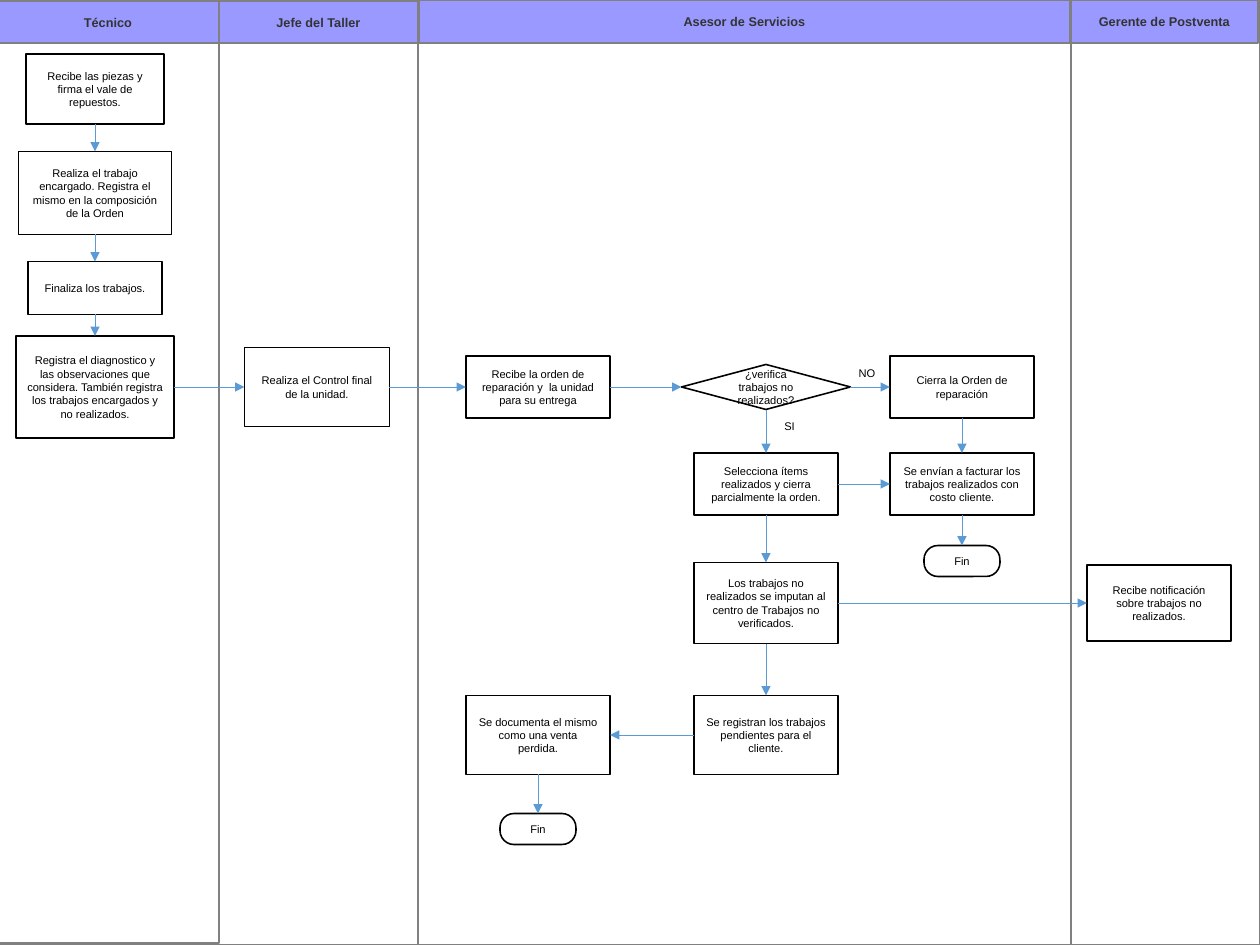
from pptx import Presentation
from pptx import util as u
from pptx.dml.color import RGBColor
from pptx.enum import shapes, text
from pptx.oxml.ns import qn
from lxml import etree

PX = 8000  # EMU
WIDE, HIGH = 1260, 945
TOP, LEFT, BOTTOM, RIGHT = range(4)

# left, top, width, height
FRAMES = [(-3, 0, 222, 943), (-3, 0, 1263, HIGH), (418, 0, 653, HIGH)]

# title, left, top, right
LANES = [
    ("Técnico", -3, 1, 219),
    ("Jefe del Taller", 219, 1, 418),
    ("Asesor de Servicios", 419, 0, 1070),
    ("Gerente de Postventa", 1071, 0, 1258),
]
LANE_END = 43

# columns and rows on which the steps are centred
TECH, CHIEF, DESK, CHECK, CLOSE, BOSS = 95, 317, 538, 766, 962, 1159
MAIN, BILL, NOTE, SALE = 387, 484, 603, 735

# name: (kind, words, centre x, centre y, width, height)
STEPS = {
    "parts": ("box", "Recibe las piezas y firma el vale de repuestos.", TECH, 89, 138, 70),
    "work": ("box", "Realiza el trabajo encargado. Registra el mismo en la composición de la Orden",
             TECH, 193, 153, 83),
    "done": ("box", "Finaliza los trabajos.", TECH, 288, 134, 53),
    "log": ("box", "Registra el diagnostico y las observaciones que considera. También registra "
            "los trabajos encargados y no realizados.", TECH, MAIN, 158, 102),
    "test": ("box", "Realiza el Control final de la unidad.", CHIEF, MAIN, 145, 79),
    "order": ("box", "Recibe la orden de reparación y  la unidad para su entrega", DESK, MAIN, 144, 62),
    "check": ("choice", "¿verifica trabajos no realizados?", CHECK, MAIN, 169, 45),
    "close": ("box", "Cierra la Orden de reparación", CLOSE, MAIN, 144, 62),
    "pick": ("box", "Selecciona ítems realizados y cierra parcialmente la orden.", CHECK, BILL, 144, 62),
    "bill": ("box", "Se envían a facturar los trabajos realizados con costo cliente.",
             CLOSE, BILL, 144, 62),
    "paid": ("end", "Fin", CLOSE, 561, 76, 31),
    "charge": ("box", "Los trabajos no realizados se imputan al centro de Trabajos no verificados.",
               CHECK, NOTE, 144, 81),
    "notice": ("box", "Recibe notificación sobre trabajos no realizados.", BOSS, NOTE, 144, 76),
    "wait": ("box", "Se registran los trabajos pendientes para el cliente.", CHECK, SALE, 144, 79),
    "lost": ("box", "Se documenta el mismo como una venta perdida.", DESK, SALE, 144, 79),
    "over": ("end", "Fin", DESK, 829, 76, 31),
}

# (side left, side entered): pairs of steps
LINKS = {
    (BOTTOM, TOP): ["parts work", "work done", "done log", "check pick", "pick charge",
                    "charge wait", "close bill", "bill paid", "lost over"],
    (RIGHT, LEFT): ["log test", "test order", "order check", "check close", "pick bill",
                    "charge notice"],
    (LEFT, RIGHT): ["wait lost"],
}

# words, left, top, width, height
LABELS = [("NO", 847, 361, 40, 32), ("SI", 772, 414, 35, 24)]

KINDS = {
    "box": shapes.MSO_SHAPE.RECTANGLE,
    "choice": shapes.MSO_SHAPE.DIAMOND,
    "end": shapes.MSO_SHAPE.ROUNDED_RECTANGLE,
}
HEAD_FONT = {"name": "Arial", "size": u.Pt(8), "bold": True}
STEP_FONT = {"name": "Arial", "size": u.Pt(7), "bold": False}


def color(code):
    return RGBColor.from_string(code)


def emu(*sizes):
    return [u.Emu(int(size * PX)) for size in sizes]


def write(shape, words, font, ink, wrap=True):
    frame = shape.text_frame
    frame.word_wrap = wrap
    para = frame.paragraphs[0]
    para.text = words
    para.alignment = text.PP_ALIGN.CENTER
    for key, value in font.items():
        setattr(para.font, key, value)
    para.font.color.rgb = color(ink)


def draw(slide, kind, area, fill, line, weight):
    shape = slide.shapes.add_shape(KINDS[kind], *emu(*area))
    shape.shadow.inherit = False
    if fill:
        shape.fill.solid()
        shape.fill.fore_color.rgb = color(fill)
    else:
        shape.fill.background()
    shape.line.color.rgb = color(line)
    shape.line.width = u.Pt(weight)
    shape.text_frame.vertical_anchor = text.MSO_ANCHOR.MIDDLE
    return shape


def link(slide, start, out, stop, into):
    arrow = slide.shapes.add_connector(shapes.MSO_CONNECTOR.STRAIGHT, 0, 0, 0, 0)
    arrow.begin_connect(start, out)
    arrow.end_connect(stop, into)
    arrow.line.color.rgb = color("5B9BD5")
    arrow.line.width = u.Pt(0.5)
    etree.SubElement(arrow.line._get_or_add_ln(), qn("a:tailEnd"), type="triangle")
    etree.SubElement(arrow._element.spPr, qn("a:effectLst"))


def main():
    deck = Presentation()
    deck.slide_width, deck.slide_height = emu(WIDE, HIGH)
    slide = deck.slides.add_slide(deck.slide_layouts[6])

    for area in FRAMES:
        draw(slide, "box", area, None, "808080", 1.7)
    for title, left, top, right in LANES:
        area = left, top, right - left, LANE_END - top
        head = draw(slide, "box", area, "9999FF", "808080", 1.7)
        write(head, title, HEAD_FONT, "333333")

    nodes = {}
    for name, (kind, words, x, y, w, h) in STEPS.items():
        node = draw(slide, kind, (x - w / 2, y - h / 2, w, h), "FFFFFF", "000000", 1)
        if kind == "end":
            node.adjustments[0] = 0.45
        write(node, words, STEP_FONT, "000000")
        nodes[name] = node

    for (out, into), pairs in LINKS.items():
        for pair in pairs:
            start, stop = pair.split()
            link(slide, nodes[start], out, nodes[stop], into)

    for words, *area in LABELS:
        label = slide.shapes.add_textbox(*emu(*area))
        write(label, words, STEP_FONT, "000000", wrap=False)

    deck.save("out.pptx")


if __name__ == "__main__":
    main()
